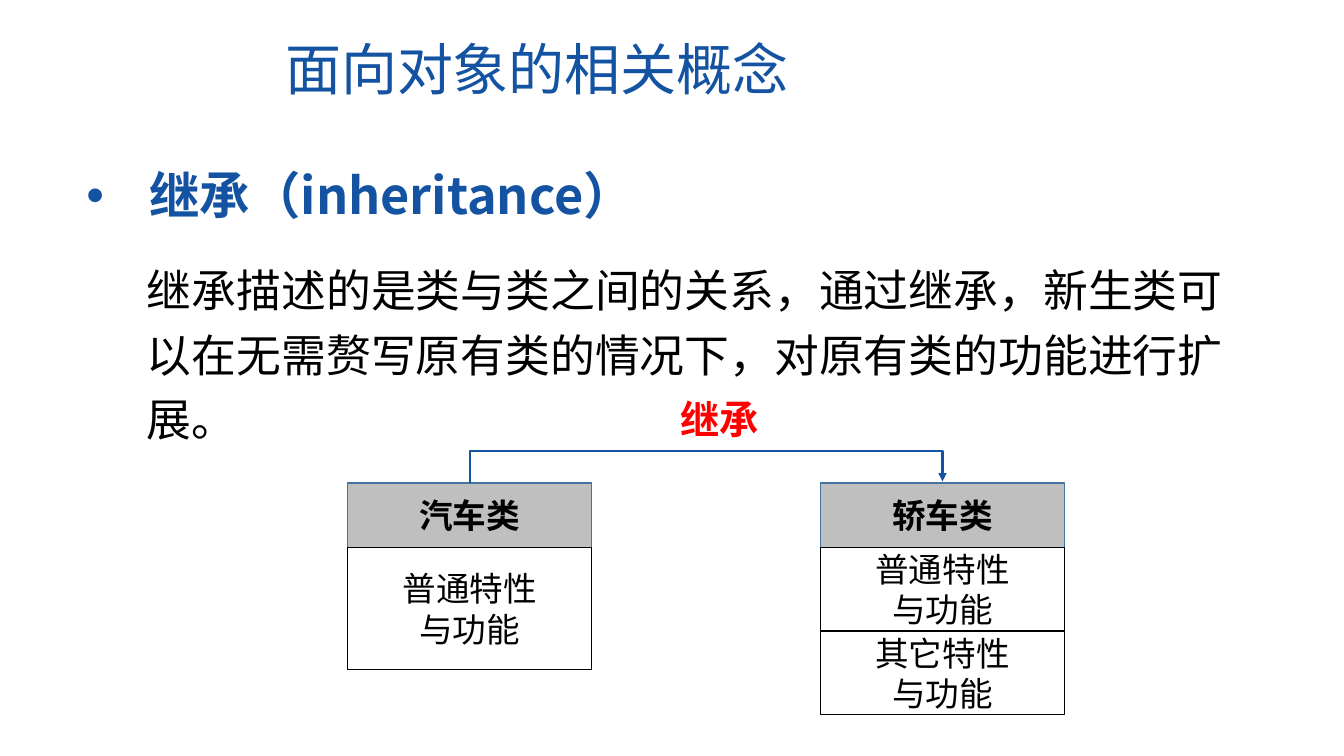
import pptx
import pptx.dml.color
import pptx.enum.shapes
import pptx.enum.text
import pptx.oxml
import pptx.oxml.ns
import pptx.util
from lxml import etree

Pt = pptx.util.Pt
qn = pptx.oxml.ns.qn

COLOURS = {
    "blue": "1353A2",
    "black": "000000",
    "red": "FF0000",
    "header": "BFBFBF",
    "header_line": "43739E",
}
CJK_FONT = "Noto Sans CJK SC"
CLASS_WIDTH, HEADER_TOP, HEADER_HEIGHT = 174.2, 344.9, 46.1
PARENT_LEFT, CHILD_LEFT = 248.4, 586.1
COMMON_FEATURES = "普通特性\n与功能"


def rgb(colour):
    return pptx.dml.color.RGBColor.from_string(COLOURS[colour])


def format_text(text_frame, size, colour, bold=False, font_name=CJK_FONT):
    for paragraph in text_frame.paragraphs:
        for run in paragraph.runs:
            run.font.size = Pt(size)
            run.font.bold = bold
            run.font.name = font_name
            run.font.color.rgb = rgb(colour)
            east_asian = etree.Element(qn("a:ea"), typeface=font_name)
            run.font._element.find(qn("a:latin")).addnext(east_asian)


def add_text(slide, box, text, size, colour, wrap=True, **font):
    shape = slide.shapes.add_textbox(*map(Pt, box))
    text_frame = shape.text_frame
    text_frame.word_wrap = wrap
    text_frame.auto_size = pptx.enum.text.MSO_AUTO_SIZE.SHAPE_TO_FIT_TEXT
    text_frame.text = text
    format_text(text_frame, size, colour, **font)
    return text_frame.paragraphs[0]


def add_bullet(paragraph, indent):
    properties = paragraph._p.get_or_add_pPr()
    properties.set("marL", str(Pt(indent)))
    properties.set("indent", str(-Pt(indent)))
    etree.SubElement(properties, qn("a:buFont"), typeface="Arial")
    etree.SubElement(properties, qn("a:buChar"), char="•")


def add_cell(slide, left, top, height, text, line="black", fill=None, bold=False):
    shape = slide.shapes.add_shape(
        pptx.enum.shapes.MSO_SHAPE.RECTANGLE,
        Pt(left), Pt(top), Pt(CLASS_WIDTH), Pt(height))
    shape.shadow.inherit = False
    if fill:
        shape.fill.solid()
        shape.fill.fore_color.rgb = rgb(fill)
    else:
        shape.fill.background()
    shape.line.color.rgb = rgb(line)
    shape.line.width = Pt(1)
    text_frame = shape.text_frame
    text_frame.word_wrap = True
    text_frame.vertical_anchor = pptx.enum.text.MSO_ANCHOR.MIDDLE
    text_frame.text = text
    for paragraph in text_frame.paragraphs:
        paragraph.alignment = pptx.enum.text.PP_ALIGN.CENTER
    format_text(text_frame, 24, "black", bold)


def add_class(slide, left, name, members, member_height):
    """Draw a header cell with one cell per group of members below it."""
    add_cell(slide, left, HEADER_TOP, HEADER_HEIGHT, name,
             line="header_line", fill="header", bold=True)
    for index, text in enumerate(members):
        top = HEADER_TOP + HEADER_HEIGHT + index * member_height
        add_cell(slide, left, top, member_height, text)


def add_arrow_over(slide, start_x, end_x, y, rise):
    """Draw an elbow arrow that goes up, across and down to the same height.

    The connector is a 1 pt wide upright box turned by 90 degrees, so its
    bend, a multiple of that width, lies above both ends.
    """
    middle, half = (start_x + end_x) / 2, (end_x - start_x) / 2
    connector = slide.shapes.add_connector(
        pptx.enum.shapes.MSO_CONNECTOR.ELBOW,
        Pt(middle + 0.5), Pt(y + half), Pt(middle - 0.5), Pt(y - half))
    connector.line.color.rgb = rgb("blue")
    connector.line.width = Pt(1.5)
    properties = connector._element.spPr
    properties.find(qn("a:xfrm")).set("rot", str(90 * 60000))
    adjustments = properties.find(qn("a:prstGeom")).find(qn("a:avLst"))
    etree.SubElement(adjustments, qn("a:gd"), name="adj1",
                     fmla=f"val {rise * 100000}")
    etree.SubElement(properties.find(qn("a:ln")), qn("a:tailEnd"), type="triangle")
    etree.SubElement(properties, qn("a:effectLst"))


def main():
    presentation = pptx.Presentation()
    presentation.slide_width, presentation.slide_height = Pt(960), Pt(540)
    slide = presentation.slides.add_slide(presentation.slide_layouts[6])

    add_text(slide, (196.6, 20.9, 423.4, 55.4), "面向对象的相关概念", 40, "blue")
    heading = add_text(slide, (54.7, 113.8, 576, 51.1), "继承（inheritance）",
                       36, "blue", bold=True)
    add_bullet(heading, 45)
    description = add_text(
        slide, (97.9, 176.4, 792, 143.3),
        "继承描述的是类与类之间的关系，通过继承，新生类可以在无需赘写原有类的情况下，"
        "对原有类的功能进行扩展。", 32, "black", font_name="Calibri")
    description.line_spacing = 1.2

    add_class(slide, PARENT_LEFT, "汽车类", [COMMON_FEATURES], 87.1)
    add_class(slide, CHILD_LEFT, "轿车类", [COMMON_FEATURES, "其它特性\n与功能"], 59.8)
    add_arrow_over(slide, PARENT_LEFT + CLASS_WIDTH / 2,
                   CHILD_LEFT + CLASS_WIDTH / 2, HEADER_TOP - 0.5, 23)
    add_text(slide, (478.8, 278.6, 71.3, 41), "继承", 28, "red",
             wrap=False, bold=True)

    presentation.save("out.pptx")


if __name__ == "__main__":
    main()
